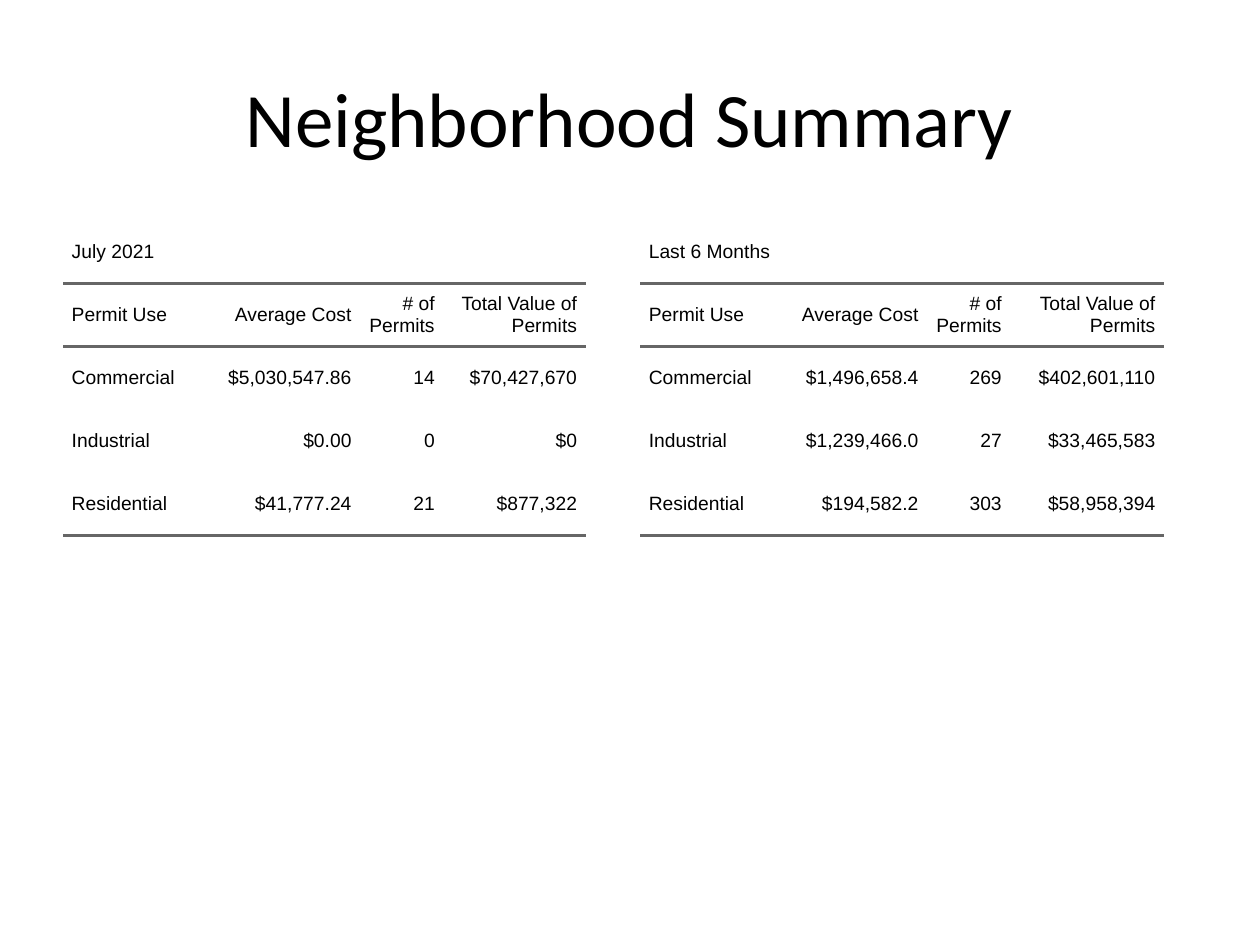
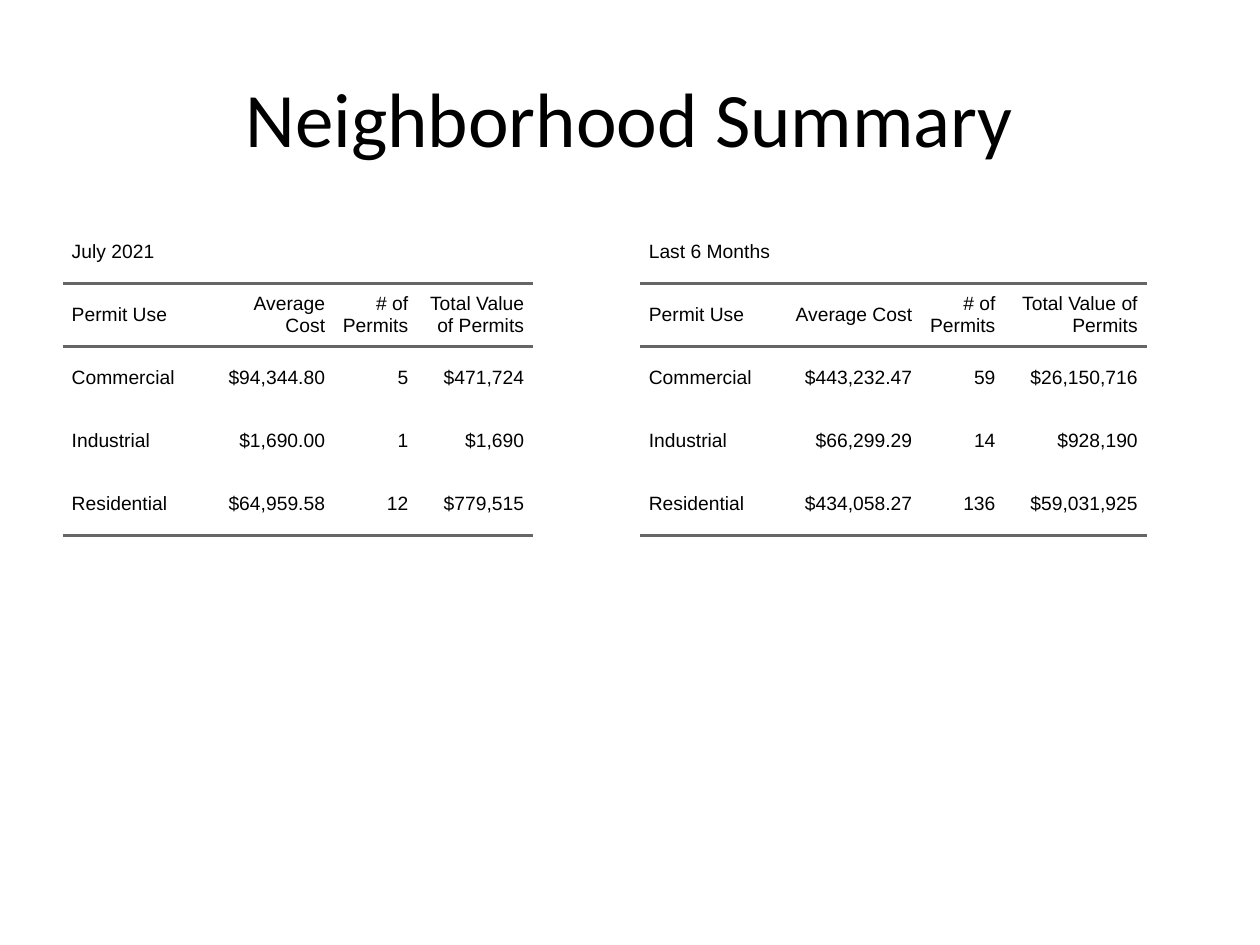
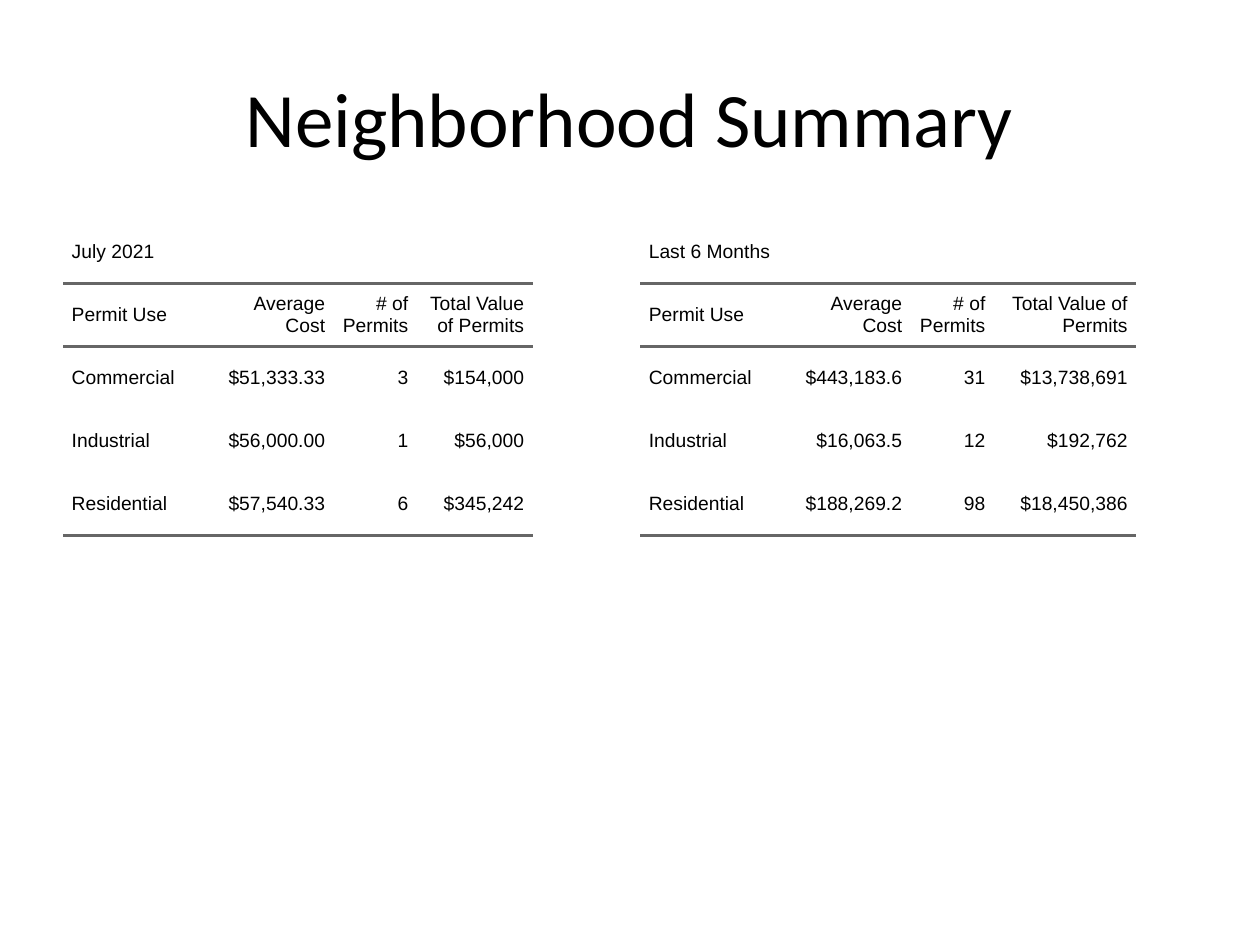
from dataclasses import dataclass

import lxml.etree
import pptx
import pptx.dml.color
import pptx.enum.text
import pptx.oxml
import pptx.oxml.ns
import pptx.util

Inches, Pt = pptx.util.Inches, pptx.util.Pt
RGBColor = pptx.dml.color.RGBColor
PP_ALIGN = pptx.enum.text.PP_ALIGN
MIDDLE = pptx.enum.text.MSO_ANCHOR.MIDDLE
qn = pptx.oxml.ns.qn


@dataclass(frozen=True)
class Theme:
    ink: RGBColor = RGBColor(0x00, 0x00, 0x00)
    rule: RGBColor = RGBColor(0x66, 0x66, 0x66)
    rule_width: int = Pt(2)
    title_font: str = "Calibri"
    title_size: int = Pt(44)
    table_font: str = "Arial"
    table_size: int = Pt(11)
    cell_indent: int = Pt(5)


THEME = Theme()
NO_STYLE_NO_GRID = "{2D5ABB26-0587-4C30-8999-92F81FD0307C}"

TITLE = "Neighborhood Summary"
HEADERS = ["Permit Use", "Average Cost", "# of Permits", "Total Value of Permits"]
USES = ["Commercial", "Industrial", "Residential"]
PERIODS = [("July 2021", 0.5), ("Last 6 Months", 5.08)]
USE_WIDTH, COUNT_WIDTH, ROW_HEIGHT = 1.1, 0.66, 0.5
TABLE_TOP = 1.75

# One entry per slide; for each period: cost width, value width, figures by use
NEIGHBORHOODS = [
    [
        (1.26, 1.13, [("$5,030,547.86", "14", "$70,427,670"),
                      ("$0.00", "0", "$0"),
                      ("$41,777.24", "21", "$877,322")]),
        (1.18, 1.22, [("$1,496,658.4", "269", "$402,601,110"),
                      ("$1,239,466.0", "27", "$33,465,583"),
                      ("$194,582.2", "303", "$58,958,394")]),
    ],
    [
        (1.05, 0.92, [("$94,344.80", "5", "$471,724"),
                      ("$1,690.00", "1", "$1,690"),
                      ("$64,959.58", "12", "$779,515")]),
        (1.13, 1.13, [("$443,232.47", "59", "$26,150,716"),
                      ("$66,299.29", "14", "$928,190"),
                      ("$434,058.27", "136", "$59,031,925")]),
    ],
    [
        (1.05, 0.92, [("$51,333.33", "3", "$154,000"),
                      ("$56,000.00", "1", "$56,000"),
                      ("$57,540.33", "6", "$345,242")]),
        (1.05, 1.13, [("$443,183.6", "31", "$13,738,691"),
                      ("$16,063.5", "12", "$192,762"),
                      ("$188,269.2", "98", "$18,450,386")]),
    ],
]


def add_rule(cell, side):
    """Draw a table rule on one side of a cell; side is lnT or lnB."""
    ln = lxml.etree.SubElement(cell._tc.get_or_add_tcPr(), qn("a:" + side),
                               w=str(THEME.rule_width))
    fill = lxml.etree.SubElement(ln, qn("a:solidFill"))
    lxml.etree.SubElement(fill, qn("a:srgbClr"), val=str(THEME.rule))


def fill_cell(cell, text, align):
    cell.fill.background()
    cell.vertical_anchor = MIDDLE
    cell.margin_left = cell.margin_right = cell.margin_top = cell.margin_bottom = 0
    p = cell.text_frame.paragraphs[0]
    p.text = text
    p.alignment = align
    pPr = p._p.get_or_add_pPr()
    pPr.set("marL", str(THEME.cell_indent))
    pPr.set("marR", str(THEME.cell_indent))
    p.font.name = THEME.table_font
    p.font.size = THEME.table_size
    p.font.color.rgb = THEME.ink


prs = pptx.Presentation()
prs.slide_width, prs.slide_height = Inches(10), Inches(7.5)

for neighborhood in NEIGHBORHOODS:
    s = prs.slides.add_slide(prs.slide_layouts[6])

    for (period, left), (cost_width, value_width, figures) in zip(PERIODS, neighborhood):
        rows = [[period], HEADERS] + [[use, *row] for use, row in zip(USES, figures)]
        widths = [USE_WIDTH, cost_width, COUNT_WIDTH, value_width]
        table = s.shapes.add_table(
            len(rows), len(widths), Inches(left), Inches(TABLE_TOP),
            Inches(sum(widths)), Inches(ROW_HEIGHT * len(rows))).table
        table.first_row = table.horz_banding = False
        table._tbl.tblPr.find(qn("a:tableStyleId")).text = NO_STYLE_NO_GRID
        for column, width in zip(table.columns, widths):
            column.width = Inches(width)
        table.cell(0, 0).merge(table.cell(0, len(widths) - 1))

        for i, row in enumerate(rows):
            for j, text in enumerate(row):
                cell = table.cell(i, j)
                if i == 1:
                    add_rule(cell, "lnT")
                if i in (1, len(rows) - 1):
                    add_rule(cell, "lnB")
                fill_cell(cell, text, PP_ALIGN.RIGHT if j else PP_ALIGN.LEFT)

    tf = s.shapes.add_textbox(Inches(0.5), Inches(0.3), Inches(9), Inches(1.25)).text_frame
    tf.word_wrap = True
    tf.vertical_anchor = MIDDLE
    p = tf.paragraphs[0]
    p.text = TITLE
    p.alignment = PP_ALIGN.CENTER
    p.font.name = THEME.title_font
    p.font.size = THEME.title_size
    p.font.color.rgb = THEME.ink

prs.save("out.pptx")
